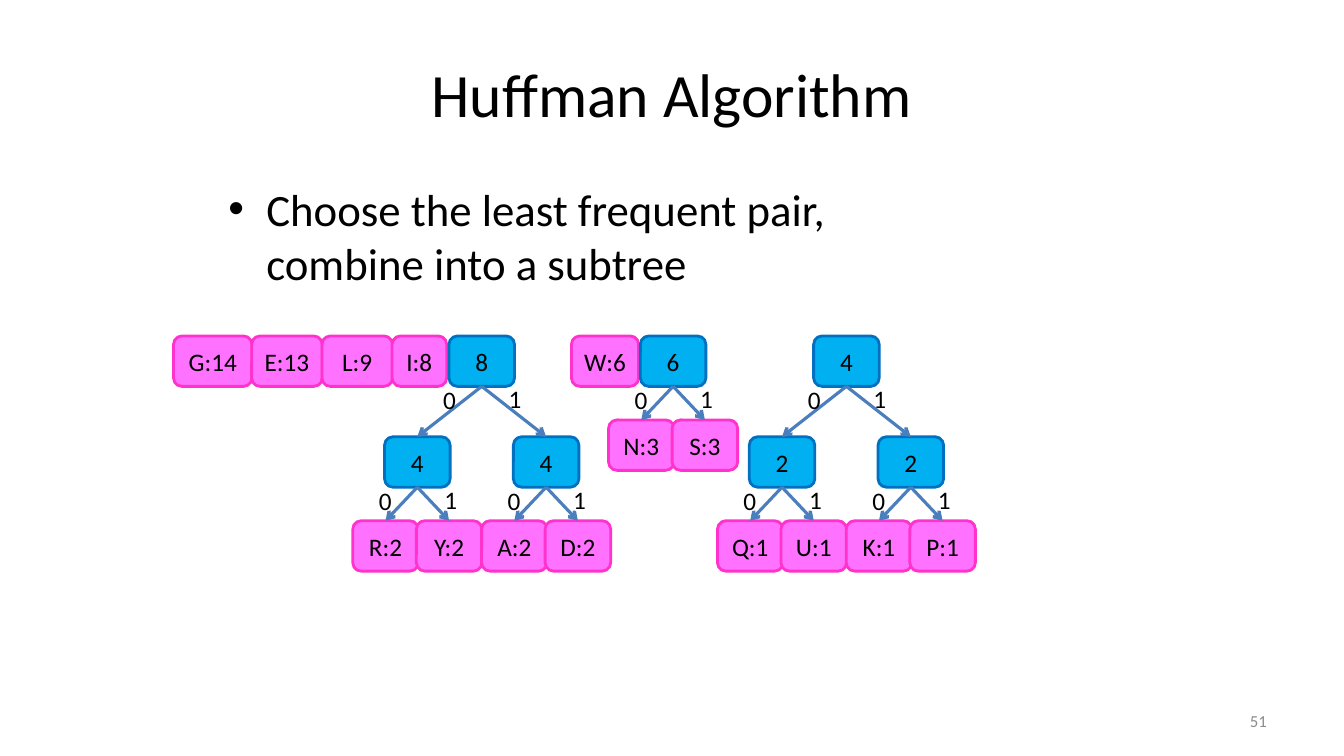
"""Build the slide showing one step of the Huffman algorithm."""
from dataclasses import dataclass

from lxml import etree
from pptx import Presentation
from pptx.dml.color import RGBColor
from pptx.enum.shapes import MSO_CONNECTOR, MSO_SHAPE
from pptx.enum.text import MSO_ANCHOR, MSO_AUTO_SIZE, PP_ALIGN
from pptx.oxml.ns import qn
from pptx.shapes.autoshape import Shape
from pptx.shapes.shapetree import SlideShapes
from pptx.text.text import TextFrame
from pptx.util import Pt

ROUNDED = MSO_SHAPE.ROUNDED_RECTANGLE
STRAIGHT = MSO_CONNECTOR.STRAIGHT
TOP, MIDDLE = MSO_ANCHOR.TOP, MSO_ANCHOR.MIDDLE
LEFT, CENTER, RIGHT = PP_ALIGN.LEFT, PP_ALIGN.CENTER, PP_ALIGN.RIGHT
FIXED = MSO_AUTO_SIZE.NONE

COLOURS = {
    "text": "000000",
    "number": "8C8C8C",
    "leaf": "FF71FF",
    "leaf edge": "FF33CC",
    "subtree": "00B0F0",
    "subtree edge": "0070C0",
    "branch": "4B7EBC",
}
FONT = "Calibri"
QUEUE_TOP = 240
NODE_WIDTH, NODE_HEIGHT = 46.8, 36
SUBTREE_SPREAD, SUBTREE_DROP = 46, 36
LEAF_SPREAD, LEAF_DROP = 22.7, 24
BIT_WIDTH, BIT_HEIGHT = 23.8, 28.8
BIT_OFFSETS = {"0": (-34.6, -5), "1": (12.2, -5.8)}


@dataclass(frozen=True)
class Node:
    """A leaf, or a subtree with a left and a right child."""

    label: str
    children: tuple["Node", ...] = ()


@dataclass(frozen=True)
class Entry:
    """A node in the queue, placed by its centre."""

    node: Node
    center: float
    width: float = NODE_WIDTH


def pair(weight: str, left: str, right: str) -> Node:
    """Return a subtree of two leaves."""
    return Node(weight, (Node(left), Node(right)))


QUEUE = (
    Entry(Node("G:14"), 152, 56),
    Entry(Node("E:13"), 205, 50.4),
    Entry(Node("L:9"), 255.2, 50.4),
    Entry(Node("I:8"), 299.6, 39),
    Entry(Node("W:6"), 432.2, 48),
    Entry(Node("4", (pair("2", "Q:1", "U:1"), pair("2", "K:1", "P:1"))), 604.6),
    Entry(pair("6", "N:3", "S:3"), 480.8),
    Entry(Node("8", (pair("4", "R:2", "Y:2"), pair("4", "A:2", "D:2"))), 344.1),
)


def rgb(name: str) -> RGBColor:
    """Return a named colour."""
    return RGBColor.from_string(COLOURS[name])


def write(frame: TextFrame, text: str, *, size: float = 18, colour: str = "text",
          align: PP_ALIGN = CENTER, anchor: MSO_ANCHOR = MIDDLE, wrap: bool = False) -> None:
    """Put one formatted paragraph in a text frame."""
    frame.text = text
    frame.auto_size = FIXED
    frame.word_wrap = wrap
    frame.vertical_anchor = anchor
    paragraph = frame.paragraphs[0]
    paragraph.alignment = align
    paragraph.space_before = Pt(0)
    font = paragraph.runs[0].font
    font.name, font.size = FONT, Pt(size)
    font.color.rgb = rgb(colour)


def place(shape: Shape, left: float, top: float, width: float, height: float) -> None:
    """Move and size a placeholder."""
    shape.left, shape.top = Pt(left), Pt(top)
    shape.width, shape.height = Pt(width), Pt(height)


def draw_node(shapes: SlideShapes, node: Node, center: float, top: float,
              width: float) -> Shape:
    """Draw the rounded box of one node."""
    kind = "subtree" if node.children else "leaf"
    box = shapes.add_shape(ROUNDED, Pt(center - width / 2), Pt(top),
                           Pt(width), Pt(NODE_HEIGHT))
    box.shadow.inherit = False
    box.fill.solid()
    box.fill.fore_color.rgb = rgb(kind)
    box.line.color.rgb = rgb(f"{kind} edge")
    box.line.width = Pt(2)
    write(box.text_frame, node.label)
    return box


def draw_branch(shapes: SlideShapes, parent: Shape, child: Shape) -> None:
    """Draw an arrow from a parent down to its child."""
    branch = shapes.add_connector(STRAIGHT, 0, 0, 0, 0)
    branch.begin_connect(parent, 2)
    branch.end_connect(child, 0)
    branch.line.color.rgb = rgb("branch")
    branch.line.width = Pt(2.25)
    etree.SubElement(branch.line._get_or_add_ln(), qn("a:tailEnd"), type="arrow")
    etree.SubElement(branch._element.spPr, qn("a:effectLst"))


def draw_tree(shapes: SlideShapes, node: Node, center: float, top: float,
              width: float = NODE_WIDTH) -> Shape:
    """Draw a node with everything below it and return its box."""
    has_subtrees = any(child.children for child in node.children)
    spread = SUBTREE_SPREAD if has_subtrees else LEAF_SPREAD
    drop = SUBTREE_DROP if has_subtrees else LEAF_DROP
    bottom = top + NODE_HEIGHT
    children = [draw_tree(shapes, child, center + side * spread, bottom + drop)
                for side, child in zip((-1, 1), node.children)]
    parent = draw_node(shapes, node, center, top, width)
    for child in children:
        draw_branch(shapes, parent, child)
    for (bit, (across, down)), _ in zip(BIT_OFFSETS.items(), children):
        label = shapes.add_textbox(Pt(center + across), Pt(bottom + down),
                                   Pt(BIT_WIDTH), Pt(BIT_HEIGHT))
        write(label.text_frame, bit, align=LEFT, anchor=TOP)
    return parent


def main() -> None:
    """Build and save the slide."""
    deck = Presentation()
    deck.slide_width, deck.slide_height = Pt(960), Pt(540)
    slide = deck.slides.add_slide(deck.slide_layouts[1])
    shapes = slide.shapes

    title, step = shapes.title, slide.placeholders[1]
    place(title, 48, 21.6, 864, 90)
    write(title.text_frame, "Huffman Algorithm", size=44, wrap=True)
    place(step, 156, 126, 533, 90)
    write(step.text_frame, "Choose the least frequent pair, combine into a subtree",
          size=32, align=LEFT, anchor=TOP, wrap=True)

    page = shapes.add_textbox(Pt(688), Pt(500.5), Pt(224), Pt(28.8))
    write(page.text_frame, "51", size=12, colour="number", align=RIGHT, wrap=True)

    for entry in QUEUE:
        draw_tree(shapes, entry.node, entry.center, QUEUE_TOP, entry.width)
    deck.save("out.pptx")


if __name__ == "__main__":
    main()
